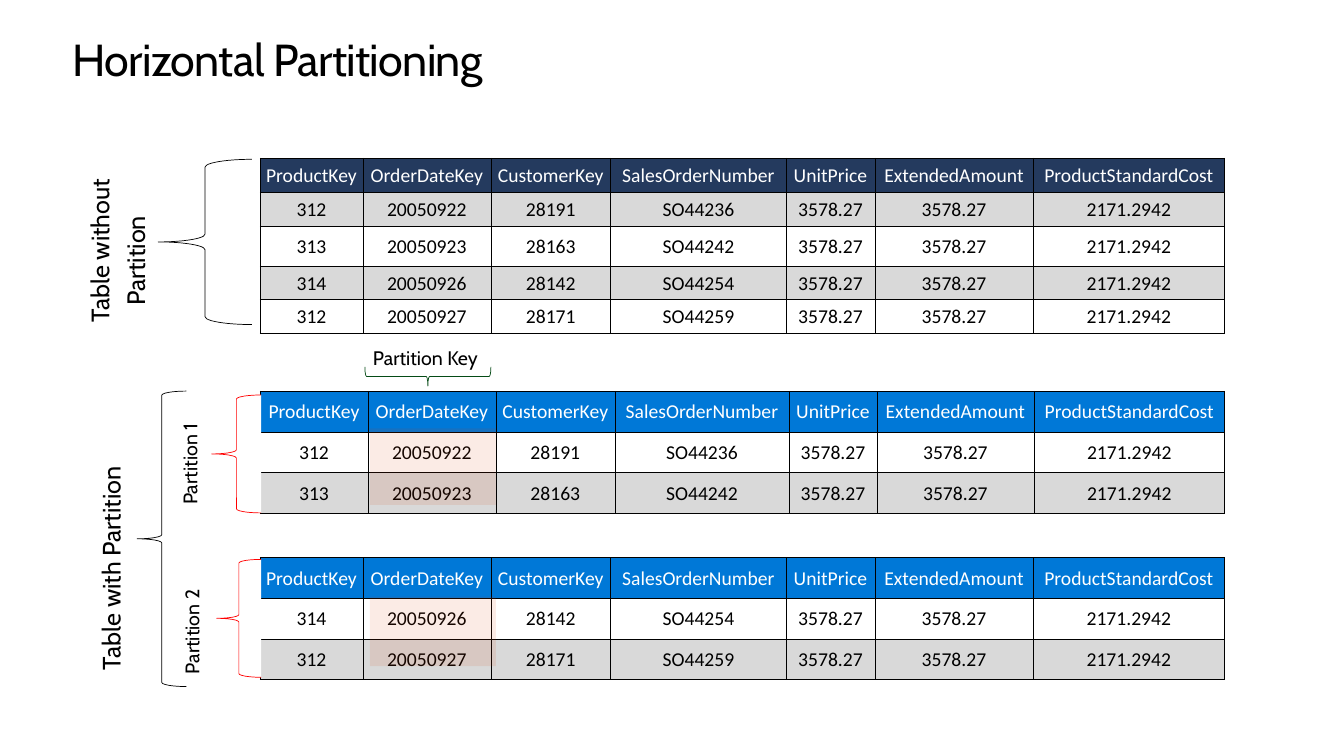
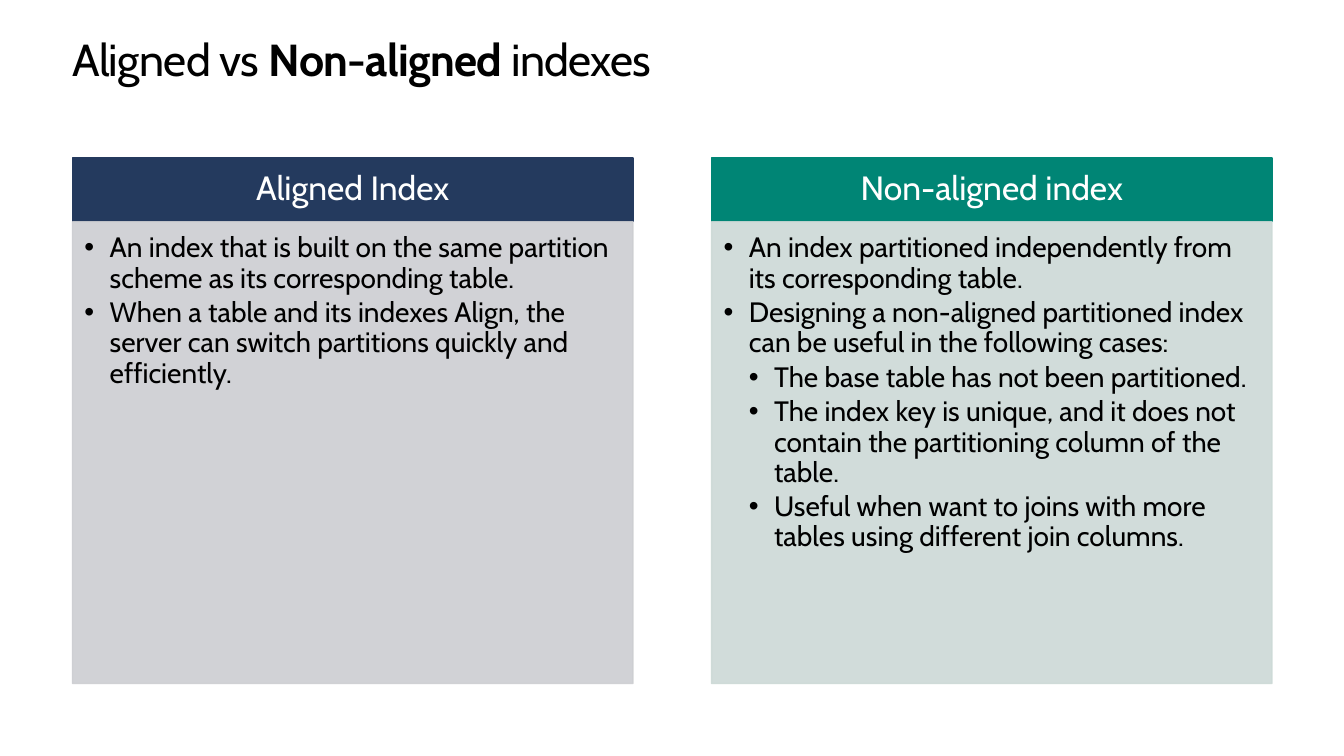
from lxml import etree
from pptx import Presentation
from pptx.dml.color import RGBColor
from pptx.enum.shapes import MSO_SHAPE
from pptx.enum.text import MSO_ANCHOR, PP_ALIGN
from pptx.oxml.ns import qn
from pptx.util import Pt

RECTANGLE = MSO_SHAPE.RECTANGLE
PROCESS = MSO_SHAPE.FLOWCHART_PROCESS
LEFT_BRACE = MSO_SHAPE.LEFT_BRACE
TOP, MIDDLE = MSO_ANCHOR.TOP, MSO_ANCHOR.MIDDLE
LEFT, CENTER = PP_ALIGN.LEFT, PP_ALIGN.CENTER

COLORS = {
    "white": "FFFFFF",
    "black": "000000",
    "navy": "243A5E",
    "blue": "0078D7",
    "teal": "008575",
    "stripe": "D9D9D9",
    "red": "FF0000",
    "green": "054B16",
    "orange": "D83B01",
    "pale_navy": "CDCED2",
    "pale_teal": "CCD9D6",
}

COLUMNS = ["ProductKey", "OrderDateKey", "CustomerKey", "SalesOrderNumber",
           "UnitPrice", "ExtendedAmount", "ProductStandardCost"]
ORDERS = [[*keys, "3578.27", "3578.27", "2171.2942"] for keys in [
    ("312", "20050922", "28191", "SO44236"),
    ("313", "20050923", "28163", "SO44242"),
    ("314", "20050926", "28142", "SO44254"),
    ("312", "20050927", "28171", "SO44259"),
]]
WIDTHS = [73.4, 91.4, 85.7, 125.3, 63.4, 113, 136.8]
WIDTHS_FIRST_PARTITION = [77, 91.4, 85, 124.6, 62.6, 112.3, 136.1]
PARTITION_ROWS = [29.1] * 3
TABLE_LEFT = 185.8
CONTENT_TOP = 113


class Style:
    heading_font = "Cabin"
    table_font = "Calibri"
    label_insets = (14.4, 11.5, 14.4, 11.5)

    def __init__(self):
        self.deck = Presentation()
        self.deck.slide_width, self.deck.slide_height = Pt(960), Pt(540)
        self.page = None

    def color(self, name):
        return RGBColor.from_string(COLORS[name])

    def new_page(self, *title_spans):
        self.page = self.deck.slides.add_slide(self.deck.slide_layouts[6])
        box = self.text_box(51.8, 25.2, 856.8, 36, (0, 0, 0, 0))
        self.paint(box.fill, "white")
        para = self.add_para(box.text_frame, title_spans, 32, spacing=Pt(36.2))
        for span in para.runs:
            span.font._element.set("spc", "-50")

    def paint(self, fill, name, opacity=100):
        fill.solid()
        fill.fore_color.rgb = self.color(name)
        if opacity < 100:
            tint = fill._xPr.find(qn("a:solidFill"))[0]
            etree.SubElement(tint, qn("a:alpha"), val=str(opacity * 1000))

    def set_insets(self, frame, insets):
        (frame.margin_left, frame.margin_top,
         frame.margin_right, frame.margin_bottom) = map(Pt, insets)

    def add_para(self, frame, spans, size, color="black", font=None,
                 align=LEFT, spacing=0.9, after=0, indent=0, bullet=False):
        para = frame.paragraphs[0]
        if para.runs:
            para = frame.add_paragraph()
        properties = para._p.get_or_add_pPr()
        if indent:
            properties.set("marL", str(Pt(indent)))
        if bullet:
            properties.set("indent", str(Pt(-18)))
            etree.SubElement(properties, qn("a:buFont"), typeface="Arial")
            etree.SubElement(properties, qn("a:buChar"), char="•")
        para.alignment = align
        para.line_spacing = spacing
        para.space_after = Pt(after)
        for text, bold in spans:
            span = para.add_run()
            span.text = text
            span.font.name = font or self.heading_font
            span.font.size = Pt(size)
            span.font.bold = bold
            span.font.color.rgb = self.color(color)
        return para

    def text_box(self, left, top, width, height, insets):
        box = self.page.shapes.add_textbox(Pt(left), Pt(top), Pt(width), Pt(height))
        box.text_frame.word_wrap = True
        self.set_insets(box.text_frame, insets)
        return box

    def label(self, left, top, width, height, lines, size, upright=False):
        frame = self.text_box(left, top, width, height, self.label_insets).text_frame
        if upright:
            frame._txBody.bodyPr.set("vert", "vert270")
        for text, indent in lines:
            self.add_para(frame, [(text, False)], size, after=6, indent=indent)

    def shape(self, kind, left, top, width, height, fill=None, line=None,
              weight=0.5, opacity=100):
        shape = self.page.shapes.add_shape(kind, Pt(left), Pt(top), Pt(width), Pt(height))
        shape.shadow.inherit = False
        if fill:
            self.paint(shape.fill, fill, opacity)
        else:
            shape.fill.background()
        if line:
            self.paint(shape.line.fill, line, opacity)
            shape.line.width = Pt(weight)
        else:
            shape.line.fill.background()
        return shape

    def panel(self, left, heading, color, pale, bullets):
        header = self.shape(RECTANGLE, left, CONTENT_TOP, 400.3, 45.4, color, color, 1)
        body = self.shape(RECTANGLE, left, CONTENT_TOP + 45.4, 400.3, 329.8,
                          pale, pale, 1, 90)
        for box, anchor, insets in [(header, MIDDLE, (13.7, 7.9, 13.7, 7.9)),
                                    (body, TOP, (8.6, 8.6, 11.5, 12.2))]:
            box.text_frame.word_wrap = True
            box.text_frame.vertical_anchor = anchor
            self.set_insets(box.text_frame, insets)
        self.add_para(header.text_frame, [(heading, False)], 24, "white", align=CENTER)
        for level, text in bullets:
            para = self.add_para(body.text_frame, [(text, False)], 20, after=3,
                                 indent=18 * (level + 1), bullet=True)
            para.level = level

    def border(self, cell):
        properties = cell._tc.get_or_add_tcPr()
        for side in ("lnL", "lnR", "lnT", "lnB"):
            line = etree.SubElement(properties, qn("a:" + side), w=str(Pt(0.5)))
            fill = etree.SubElement(line, qn("a:solidFill"))
            etree.SubElement(fill, qn("a:srgbClr"), val=COLORS["black"])

    def table(self, top, widths, heights, orders, header, striped_parity):
        rows = [COLUMNS, *orders]
        table = self.page.shapes.add_table(
            len(rows), len(COLUMNS), Pt(TABLE_LEFT), Pt(top),
            Pt(sum(widths)), Pt(sum(heights))).table
        table.first_row = table.horz_banding = False
        for column, width in zip(table.columns, widths):
            column.width = Pt(width)
        for index, (row, height, values) in enumerate(zip(table.rows, heights, rows)):
            row.height = Pt(height)
            for cell, value in zip(row.cells, values):
                self.border(cell)
                if index == 0:
                    self.paint(cell.fill, header)
                elif index % 2 == striped_parity:
                    self.paint(cell.fill, "stripe")
                else:
                    cell.fill.background()
                self.set_insets(cell, (0.7, 0.7, 0.7, 0))
                cell.vertical_anchor = MIDDLE
                self.add_para(cell.text_frame, [(value, False)], 14,
                              "black" if index else "white", self.table_font,
                              CENTER, 1.0)


def build_partitioning(style):
    style.new_page(("Horizontal Partitioning", False))
    style.table(CONTENT_TOP, WIDTHS, [24.2, 24.2, 28.6, 24.2, 24.2], ORDERS, "navy", 1)
    style.shape(LEFT_BRACE, 113, 113.8, 67, 118, line="black")
    style.label(48.2, 108.7, 74.2, 133.2,
                [("Table without", 0), ("Partition", 12)], 18, True)

    style.table(398.2, WIDTHS, PARTITION_ROWS, ORDERS[2:], "blue", 0)
    style.table(279.4, WIDTHS_FIRST_PARTITION, PARTITION_ROWS, ORDERS[:2], "blue", 0)

    style.label(56.2, 301.7, 49, 188.6, [("Table with Partition", 0)], 18, True)
    style.shape(LEFT_BRACE, 97.9, 279.4, 35.3, 211, line="black")
    style.label(252, 241.2, 108, 38.9, [("Partition Key", 0)], 14)
    key_brace = style.shape(LEFT_BRACE, 298.8, 223.9, 13.7, 90, line="green")
    key_brace.rotation = 270

    for name, label_left, label_top, brace_left, brace_top, brace_width, key_top, key_height in [
        ("Partition 1", 114.5, 285.1, 151.2, 282.2, 35.3, 306, 54.7),
        ("Partition 2", 115.9, 406.1, 154.8, 399.6, 31.7, 426.2, 49.7),
    ]:
        style.shape(LEFT_BRACE, brace_left, brace_top, brace_width, 84.2, "white", "red")
        style.label(label_left, label_top, 44.6, 87.1, [(name, 0)], 14, True)
        style.shape(PROCESS, 264.2, key_top, 90, key_height, "orange", opacity=10)


def build_indexes(style):
    style.new_page(("Aligned vs ", False), ("Non-aligned ", True), ("indexes", False))
    style.panel(51.8, "Aligned Index", "navy", "pale_navy", [
        (0, "An index that is built on the same partition scheme as its corresponding table."),
        (0, "When a table and its indexes Align, the server can switch partitions "
            "quickly and efficiently."),
    ])
    style.panel(508.3, "Non-aligned index", "teal", "pale_teal", [
        (0, "An index partitioned independently from its corresponding table."),
        (0, "Designing a non-aligned partitioned index can be useful in the following cases:"),
        (1, "The base table has not been partitioned."),
        (1, "The index key is unique, and it does not contain the partitioning column "
            "of the table."),
        (1, "Useful when want to joins with more tables using different join columns."),
    ])


def main():
    style = Style()
    build_partitioning(style)
    build_indexes(style)
    style.deck.save("out.pptx")


if __name__ == "__main__":
    main()
